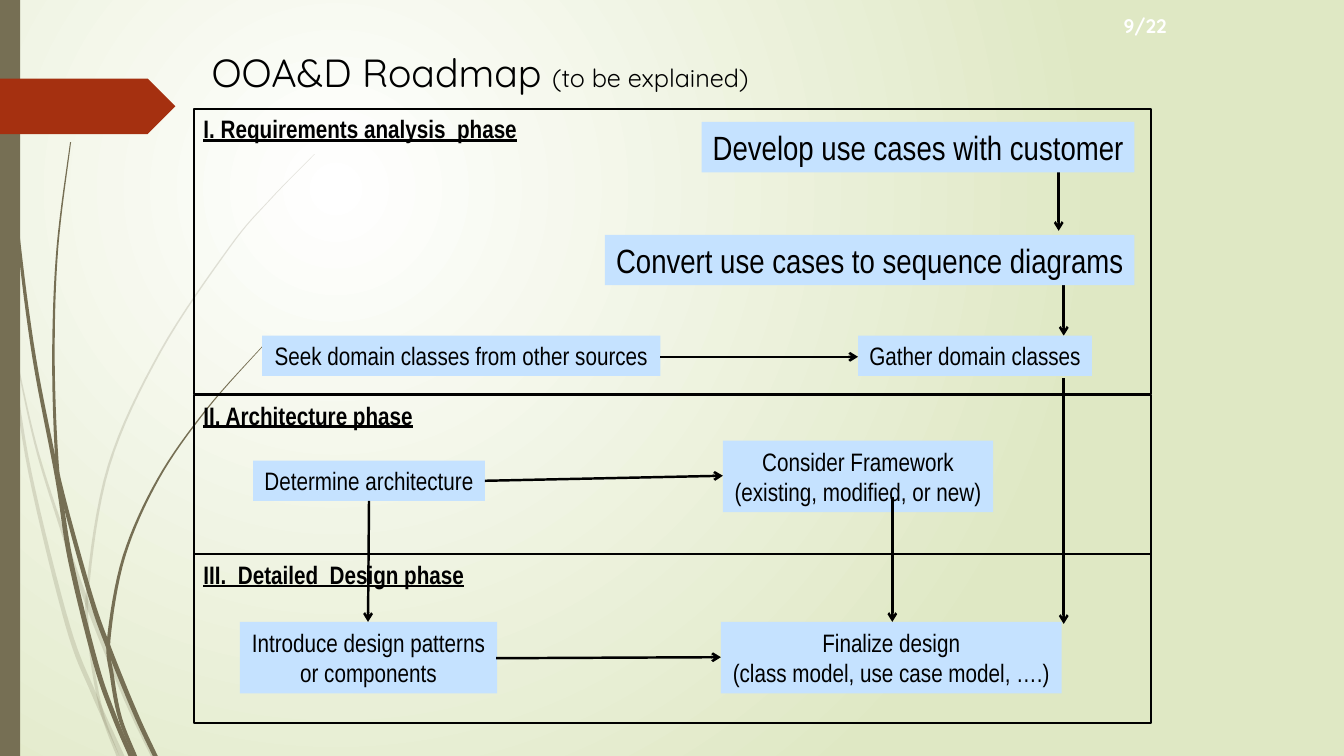
"""Build the OOA&D roadmap slide: three phases, their steps and the arrows between."""
from lxml.etree import SubElement
from pptx import Presentation
from pptx.dml.color import RGBColor
from pptx.enum.shapes import MSO_CONNECTOR, MSO_SHAPE
from pptx.enum.text import MSO_ANCHOR, PP_ALIGN
from pptx.oxml.ns import qn
from pptx.util import Inches, Pt

HUES = {"white": "FFFFFF", "green": "DFE8C4", "olive": "766F54",
        "red": "A53010", "blue": "C5E2FF", "black": "000000"}
NARROW, ROUND = "Arial Narrow", "Quicksand"


def hue(name):
    return RGBColor.from_string(HUES[name])


def write(shape, lines, font=NARROW, size=18, color="black", bold=False,
          line=False, align=PP_ALIGN.LEFT, anchor=MSO_ANCHOR.TOP, wrap=True):
    frame = shape.text_frame
    frame.word_wrap = wrap
    frame.vertical_anchor = anchor
    for i, words in enumerate(lines):
        para = frame.add_paragraph() if i else frame.paragraphs[0]
        para.alignment = align
        run = para.add_run()
        run.text = words
        run.font.name = font
        run.font.size = Pt(size)
        run.font.bold = bold
        run.font.underline = line
        run.font.color.rgb = hue(color)
    return frame


deck = Presentation()
deck.slide_width, deck.slide_height = Inches(13.33), Inches(7.5)
slide = deck.slides.add_slide(deck.slide_layouts[6])
shapes = slide.shapes

back = slide.background.fill
back.gradient()
for stop, name, place in zip(back.gradient_stops, ("white", "green"), (0, 1)):
    stop.color.rgb = hue(name)
    stop.position = place
grad = slide.element.find(".//" + qn("a:gradFill"))
grad.remove(grad.find(qn("a:lin")))
glow = SubElement(grad, qn("a:path"), {"path": "circle"})
SubElement(glow, qn("a:fillToRect"), l="50000", t="50000", r="100000", b="100000")

# Each strand holds its opacity, its widest width and the points of its middle line.
strands = [
    (20, 0.05, [(0, 2.9), (0.11, 3.5), (0.3, 4.7), (0.67, 6.2), (0.93, 6.88), (1.21, 7.5)]),
    (20, 0.05, [(0.14, 3.45), (0.35, 4.4), (0.6, 5.21), (0.86, 5.97), (1.25, 6.93), (1.52, 7.5)]),
    (20, 0.03, [(3.12, 1.53), (2.68, 1.98), (2.28, 2.45), (1.59, 3.49), (1.08, 4.62),
                (0.87, 5.84), (0.9, 6.46), (1.01, 7.06), (1.17, 7.5)]),
    (100, 0.05, [(0.03, 0), (0.04, 0.48), (0.07, 1.1), (0.18, 2.33), (0.34, 3.55),
                 (0.57, 4.75), (0.7, 5.56), (0.95, 6.58), (1.13, 7.1), (1.3, 7.5)]),
    (100, 0.05, [(0.7, 1.41), (0.57, 2.45), (0.53, 3.49), (0.56, 4.5), (0.62, 4.9),
                 (0.9, 5.92), (1.08, 6.43), (1.34, 7.07), (1.54, 7.5)]),
    (100, 0.04, [(2.6, 3.44), (2.05, 4.06), (1.57, 4.75), (1.23, 5.52), (1.08, 6.33),
                 (1.11, 6.7), (1.19, 7.12), (1.34, 7.5)]),
]
for alpha, wide, knots in strands:
    ends = [knots[0]] + knots + [knots[-1]]
    spine = []
    for a, b, c, d in zip(ends, ends[1:], ends[2:], ends[3:]):
        for t in (k / 8 for k in range(8)):
            spine.append([(2 * q + (r - p) * t + (2 * p - 5 * q + 4 * r - s) * t**2
                           + (3 * q - p - 3 * r + s) * t**3) / 2
                          for p, q, r, s in zip(a, b, c, d)])
    spine.append(knots[-1])
    left, right = [], []
    for i, (x, y) in enumerate(spine):
        half = wide / 2 * min(1, 0.2 + 1.2 * i / len(spine))
        left.append((Inches(x - half), Inches(y)))
        right.append((Inches(x + half), Inches(y)))
    edge = left + right[::-1]
    pen = shapes.build_freeform(*edge[0])
    pen.add_line_segments(edge[1:], close=True)
    strand = pen.convert_to_shape()
    strand.shadow.inherit = False
    strand.fill.solid()
    strand.fill.fore_color.rgb = hue("olive")
    strand.line.fill.background()
    tint = strand.fill._xPr.find(".//" + qn("a:srgbClr"))
    SubElement(tint, qn("a:alpha"), val=str(alpha * 1000))

wires = [
    (10.55, 3.75, 10.55, 6.19), (10.55, 2.42, 10.55, 3.33), (10.5, 1.38, 10.5, 2.29),
    (4.81, 4.77, 7.17, 4.72), (8.85, 4.93, 8.85, 6.17), (3.66, 4.97, 3.65, 6.17),
    (4.92, 6.53, 7.15, 6.52), (6.55, 3.54, 8.51, 3.54),
]
arrows = []
for ends in wires:
    arrow = shapes.add_connector(MSO_CONNECTOR.STRAIGHT, *map(Inches, ends))
    arrow.line.color.rgb = hue("black")
    arrow.line.width = Pt(1.75)
    SubElement(arrow.line._get_or_add_ln(), qn("a:tailEnd"), type="arrow")
    SubElement(arrow._element.spPr, qn("a:effectLst"))
    arrows.append(arrow)

PLAIN, POINT = MSO_SHAPE.RECTANGLE, MSO_SHAPE.PENTAGON
blocks = [
    (PLAIN, 0, 0, 0.2, 7.5, "olive", 18, []),
    (POINT, 0, 0.78, 1.74, 0.55, "red", 18, []),
    (PLAIN, 2.6, 3.33, 3.95, 0.4, "blue", 18, ["Seek domain classes from other sources"]),
    (PLAIN, 8.51, 3.33, 2.32, 0.4, "blue", 18, ["Gather domain classes"]),
    (PLAIN, 6.96, 1.21, 4.29, 0.5, "blue", 24, ["Develop use cases with customer"]),
    (PLAIN, 6, 2.33, 5.25, 0.5, "blue", 24, ["Convert use cases to sequence diagrams"]),
    (PLAIN, 2.38, 6.17, 2.55, 0.71, "blue", 18, ["Introduce design patterns", "or components"]),
    (PLAIN, 7.15, 6.17, 3.38, 0.71, "blue", 18,
     ["Finalize design", "(class model, use case model, ….)"]),
    (PLAIN, 2.51, 4.57, 2.3, 0.4, "blue", 18, ["Determine architecture"]),
    (PLAIN, 7.17, 4.37, 2.68, 0.71, "blue", 18,
     ["Consider Framework", "(existing, modified, or new)"]),
]
for kind, x, y, w, h, name, size, lines in blocks:
    block = shapes.add_shape(kind, *map(Inches, (x, y, w, h)))
    block.shadow.inherit = False
    block.fill.solid()
    block.fill.fore_color.rgb = hue(name)
    block.line.fill.background()
    write(block, lines, size=size, align=PP_ALIGN.CENTER, anchor=MSO_ANCHOR.MIDDLE, wrap=False)

for arrow in arrows[3:]:
    shapes._spTree.append(arrow._element)

phases = [
    (1.08, 2.83, "I. Requirements analysis  phase"),
    (3.92, 1.58, "II. Architecture phase"),
    (5.5, 1.67, "III.  Detailed  Design phase"),
]
for top, high, name in phases:
    phase = shapes.add_shape(PLAIN, Inches(1.92), Inches(top), Inches(9.5), Inches(high))
    phase.shadow.inherit = False
    phase.fill.background()
    phase.line.color.rgb = hue("black")
    phase.line.width = Pt(1.5)
    write(phase, [name], bold=True, line=True)

title = shapes.add_textbox(Inches(2), Inches(0.43), Inches(9.42), Inches(0.57))
head = write(title, ["OOA&D Roadmap "], font=ROUND, size=28).paragraphs[0]
note = head.add_run()
note.text = "(to be explained)"
note.font.name = ROUND
note.font.size = Pt(18)
note.font.color.rgb = hue("black")

page = shapes.add_textbox(Inches(10.67), Inches(0.05), Inches(1), Inches(0.4))
write(page, ["9/22"], font=ROUND, size=14, color="white", bold=True,
      align=PP_ALIGN.RIGHT, anchor=MSO_ANCHOR.MIDDLE)

deck.save("out.pptx")
